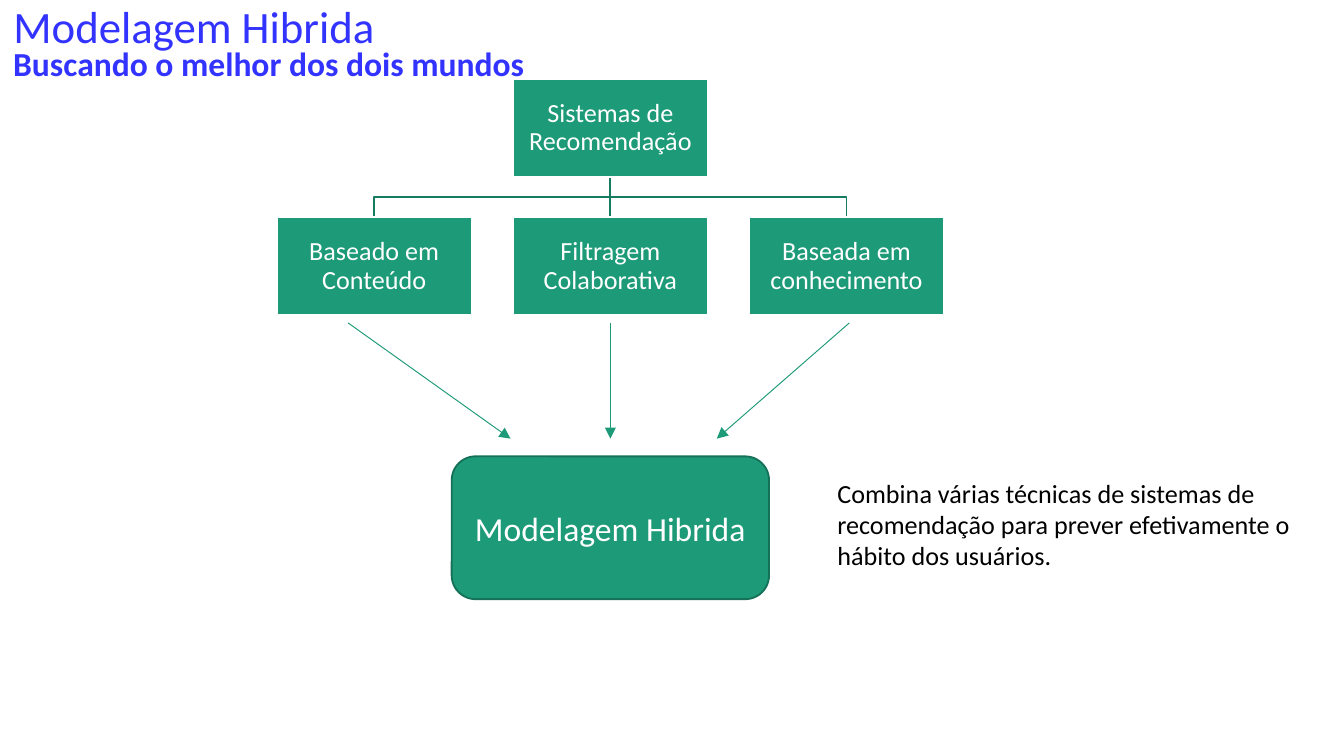
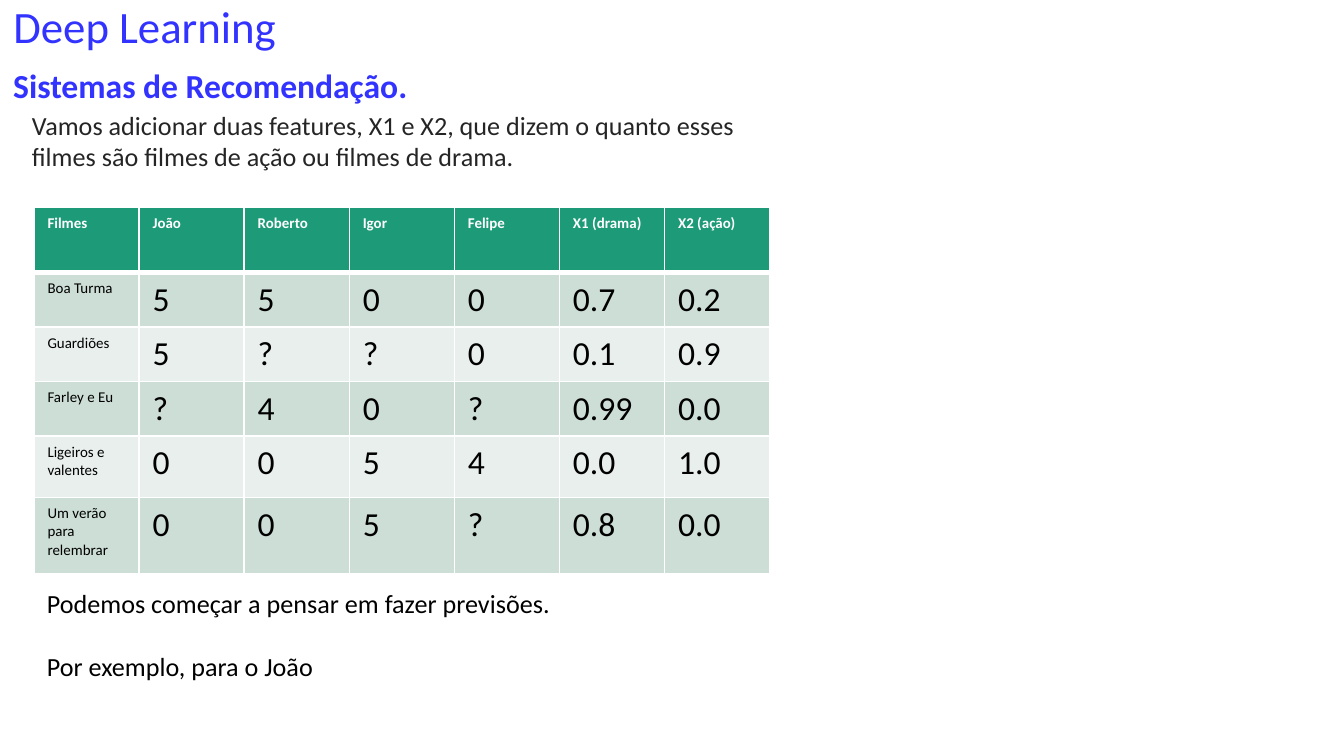
import pptx
import pptx.dml.color
import pptx.enum.shapes
import pptx.enum.text
import pptx.oxml
import pptx.oxml.ns
import pptx.util

Pt = pptx.util.Pt
ALIGN = pptx.enum.text.PP_ALIGN
ANCHOR = pptx.enum.text.MSO_ANCHOR
SHAPE = pptx.enum.shapes.MSO_SHAPE
TITLE_ONLY = 5

BLUE, WHITE, BLACK, DARK_GREY = "3333FF", "FFFFFF", "000000", "252525"
GREEN, LINK_GREEN, EDGE_GREEN = "1D9A78", "177B60", "157259"
BANDS = ("CDDED6", "E8EFEC")


def rgb(value):
    return pptx.dml.color.RGBColor.from_string(value)


def apply(target, values):
    for name, value in values.items():
        setattr(target, name, value)


def add_element(parent, tag, content="", **attributes):
    """Append a drawing element with the given inner XML."""
    listed = "".join(f' {name}="{value}"' for name, value in attributes.items())
    parent.append(pptx.oxml.parse_xml(
        f'<a:{tag} {pptx.oxml.ns.nsdecls("a")}{listed}>{content}</a:{tag}>'))


class Deck:
    font = "Calibri"

    def __init__(self, presentation):
        self.presentation = presentation
        self.slide = None

    def set_text(self, frame, texts, size, color, bold=False, anchor=ANCHOR.TOP,
                 paragraph_format=None, gap=0):
        """Fill a text frame; gap separates the paragraphs."""
        apply(frame, {"word_wrap": True, "vertical_anchor": anchor,
                      "auto_size": pptx.enum.text.MSO_AUTO_SIZE.NONE})
        for index, text in enumerate(texts):
            paragraph = frame.add_paragraph() if index else frame.paragraphs[0]
            run = paragraph.add_run()
            run.text = text
            apply(paragraph, paragraph_format or {})
            if index:
                paragraph.space_before = Pt(gap)
            apply(run.font, {"name": self.font, "size": Pt(size), "bold": bold})
            run.font.color.rgb = rgb(color)

    def add_slide(self, title, subtitle, subtitle_top):
        layout = self.presentation.slide_layouts[TITLE_ONLY]
        self.slide = self.presentation.slides.add_slide(layout)
        heading = self.slide.shapes.title
        apply(heading, {"left": 0, "top": Pt(-17.5),
                        "width": Pt(612.5), "height": Pt(65.5)})
        style = {"alignment": ALIGN.LEFT, "line_spacing": 0.9}
        self.set_text(heading.text_frame, [title], 24, BLUE,
                      anchor=ANCHOR.MIDDLE, paragraph_format=style)
        self.add_text([subtitle], 0, subtitle_top, 437, 60, size=18, color=BLUE,
                      bold=True, anchor=ANCHOR.BOTTOM, paragraph_format=style)

    def add_text(self, texts, left, top, width, height, size=14, color=BLACK, **style):
        box = self.slide.shapes.add_textbox(Pt(left), Pt(top), Pt(width), Pt(height))
        self.set_text(box.text_frame, texts, size, color, **style)

    def add_box(self, text, left, top, width, height, size, line, kind=SHAPE.RECTANGLE,
                margin=None, line_spacing=1.0):
        shape = self.slide.shapes.add_shape(kind, Pt(left), Pt(top), Pt(width), Pt(height))
        shape.shadow.inherit = False
        shape.fill.solid()
        shape.fill.fore_color.rgb = rgb(GREEN)
        self.set_line(shape.line, line, 1)
        if margin is not None:
            sides = ("left", "right", "top", "bottom")
            apply(shape.text_frame, {f"margin_{side}": Pt(margin) for side in sides})
        self.set_text(shape.text_frame, [text], size, WHITE, anchor=ANCHOR.MIDDLE,
                      paragraph_format={"alignment": ALIGN.CENTER,
                                        "line_spacing": line_spacing})

    def set_line(self, line, color, width):
        line.color.rgb = rgb(color)
        line.width = Pt(width)

    def add_line(self, start, end, color, width, arrow=False):
        connector = self.slide.shapes.add_connector(
            pptx.enum.shapes.MSO_CONNECTOR.STRAIGHT, *map(Pt, start + end))
        self.set_line(connector.line, color, width)
        properties = connector._element.spPr
        if arrow:
            add_element(properties.get_or_add_ln(), "tailEnd", type="triangle")
        add_element(properties, "effectLst")

    def add_polyline(self, points, color, width):
        start, *rest = [tuple(map(Pt, point)) for point in points]
        builder = self.slide.shapes.build_freeform(*start)
        builder.add_line_segments(rest, close=False)
        shape = builder.convert_to_shape()
        shape.shadow.inherit = False
        shape.fill.background()
        self.set_line(shape.line, color, width)

    def add_table(self, rows, left, top, column_width, row_heights):
        columns = len(rows[0])
        table = self.slide.shapes.add_table(
            len(rows), columns, Pt(left), Pt(top),
            Pt(column_width * columns), Pt(sum(row_heights))).table
        table.horz_banding = False
        for column in table.columns:
            column.width = Pt(column_width)
        for row_index, (values, height) in enumerate(zip(rows, row_heights)):
            table.rows[row_index].height = Pt(height)
            header = row_index == 0
            fill = GREEN if header else BANDS[(row_index - 1) % 2]
            borders = {"lnL": 1, "lnR": 1, "lnT": 3 if row_index == 1 else 1,
                       "lnB": 3 if header else 1}
            for column_index, value in enumerate(values):
                cell = table.cell(row_index, column_index)
                small = header or column_index == 0
                self.set_text(cell.text_frame, [value], 8 if small else 18,
                              WHITE if header else BLACK, bold=header)
                self.set_borders(cell, borders)
                cell.fill.solid()
                cell.fill.fore_color.rgb = rgb(fill)

    def set_borders(self, cell, borders):
        properties = cell._tc.get_or_add_tcPr()
        for tag, width in borders.items():
            add_element(properties, tag,
                        f'<a:solidFill><a:srgbClr val="{WHITE}"/></a:solidFill>', w=Pt(width))


def build_hybrid_slide(deck):
    deck.add_slide("Modelagem Hibrida", "Buscando o melhor dos dois mundos", -11.5)
    width, height, pitch, center = 104.5, 52.5, 126.5, 327
    root_top, branch_top = 42.5, 116.5
    root_bottom = root_top + height
    middle = (root_bottom + branch_top) / 2
    branches = ("Baseado em Conteúdo", "Filtragem Colaborativa", "Baseada em conhecimento")
    branch_centers = [center + pitch * step for step in (-1, 0, 1)]

    for branch_center in branch_centers:
        if branch_center == center:
            deck.add_line((center, root_bottom), (center, branch_top), LINK_GREEN, 1)
        else:
            deck.add_polyline([(center, root_bottom), (center, middle),
                               (branch_center, middle), (branch_center, branch_top)],
                              LINK_GREEN, 1)

    boxes = [("Sistemas de Recomendação", center, root_top)]
    boxes += [(text, x, branch_top) for text, x in zip(branches, branch_centers)]
    for text, x, top in boxes:
        deck.add_box(text, x - width / 2, top, width, height, 14, WHITE,
                     margin=0.7, line_spacing=0.9)

    deck.add_box("Modelagem Hibrida", 242, 244.5, 170, 76.5, 18, EDGE_GREEN,
                 kind=SHAPE.ROUNDED_RECTANGLE)
    for start, end in ((186.5, 273.5), (center, center), (455, 384)):
        deck.add_line((start, 173), (end, 235), GREEN, 0.5, arrow=True)
    deck.add_text(["Combina várias técnicas de sistemas de recomendação para prever "
                   "efetivamente o hábito dos usuários."], 441.5, 252, 267, 58.5)


def build_ratings_slide(deck):
    deck.add_slide("Deep Learning", "Sistemas de Recomendação.", 0)
    deck.add_text(["Vamos adicionar duas features, X1 e X2, que dizem o quanto esses "
                   "filmes são filmes de ação ou filmes de drama."],
                  10, 55, 417, 41, color=DARK_GREY)
    ratings = [
        ("Filmes", "João", "Roberto", "Igor", "Felipe", "X1 (drama)", "X2 (ação)"),
        ("Boa Turma", "5", "5", "0", "0", "0.7", "0.2"),
        ("Guardiões", "5", "?", "?", "0", "0.1", "0.9"),
        ("Farley e Eu", "?", "4", "0", "?", "0.99", "0.0"),
        ("Ligeiros e valentes", "0", "0", "5", "4", "0.0", "1.0"),
        ("Um verão para relembrar", "0", "0", "5", "?", "0.8", "0.0"),
    ]
    deck.add_table(ratings, 18.25, 111, 56.3, (35, 19.5, 19.5, 19.5, 33, 41))
    deck.add_text(["Podemos começar a pensar em fazer previsões.",
                   "Por exemplo, para o João"], 18, 311, 394.5, 58.5, gap=17)


def main():
    presentation = pptx.Presentation()
    apply(presentation, {"slide_width": Pt(720), "slide_height": Pt(405)})
    deck = Deck(presentation)
    build_hybrid_slide(deck)
    build_ratings_slide(deck)
    presentation.save("out.pptx")


if __name__ == "__main__":
    main()
